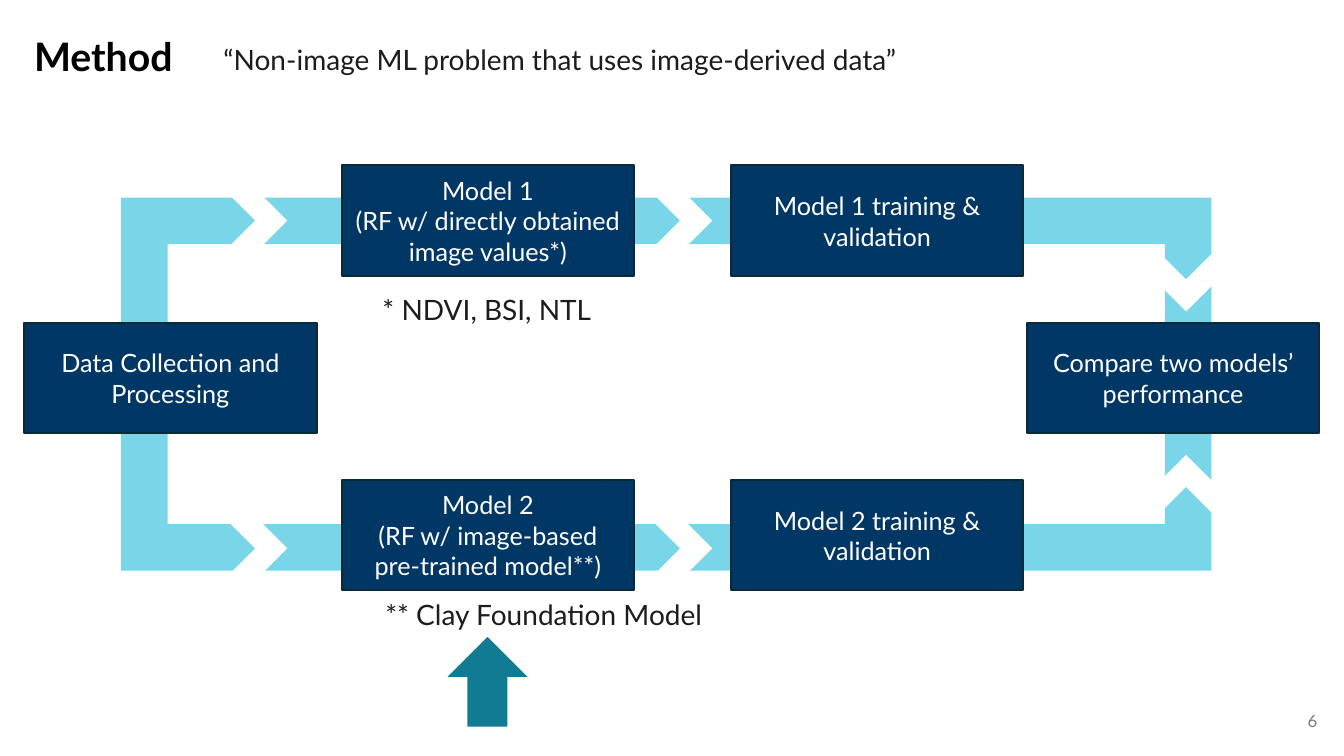
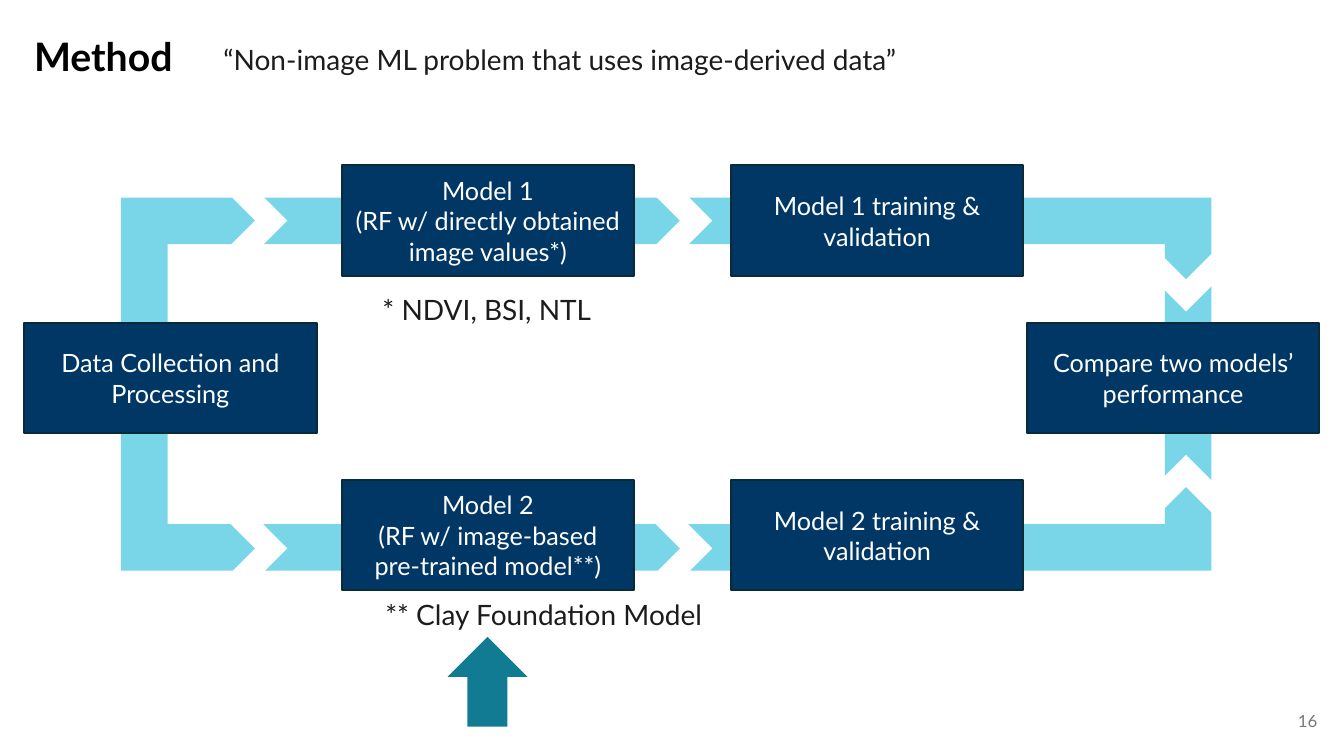
import pptx
import pptx.util
import pptx.dml.color
import pptx.enum.shapes
import pptx.enum.text
from dataclasses import dataclass

Cm = pptx.util.Cm
Shape = pptx.enum.shapes.MSO_SHAPE
Align = pptx.enum.text.PP_ALIGN
Anchor = pptx.enum.text.MSO_ANCHOR


@dataclass(frozen=True)
class Theme:
    font: str = "Lato"
    white: str = "FFFFFF"
    title: str = "000000"
    body: str = "1D1C1D"
    muted: str = "797979"
    step: str = "003764"
    step_edge: str = "092A39"
    flow: str = "79D6E9"
    pointer: str = "107B92"
    title_size: int = 28
    note_size: int = 20
    step_size: int = 18
    number_size: int = 12


theme = Theme()


def write(shape, text, *, size, color, bold=False, align=Align.LEFT,
          anchor=Anchor.TOP, spacing=None):
    """Fill a shape with text: \\n starts a paragraph, \\v breaks a line."""
    frame = shape.text_frame
    frame.word_wrap = True
    frame.vertical_anchor = anchor
    frame.text = text
    for paragraph in frame.paragraphs:
        paragraph.alignment = align
        paragraph.line_spacing = spacing
        for run in paragraph.runs:
            run.font.name = theme.font
            run.font.size = pptx.util.Pt(size)
            run.font.bold = bold
            run.font.color.rgb = pptx.dml.color.RGBColor.from_string(color)


def draw(slide, kind, left, top, width, height, fill, edge=None):
    """Add a flat preset shape, measured in centimetres."""
    shape = slide.shapes.add_shape(kind, Cm(left), Cm(top), Cm(width), Cm(height))
    shape.shadow.inherit = False
    shape.fill.solid()
    shape.fill.fore_color.rgb = pptx.dml.color.RGBColor.from_string(fill)
    if edge:
        shape.line.color.rgb = pptx.dml.color.RGBColor.from_string(edge)
        shape.line.width = pptx.util.Pt(1.5)
    else:
        shape.line.fill.background()
    return shape


# Grid of process steps
step_width, step_height = 7.37, 2.79
columns = [0.61, 8.61, 18.42, 25.88]
first_row, row_pitch = 4.17, 3.96

# Each step: column, row, text
steps = [
    (0, 1, "Data Collection and Processing"),
    (1, 0, "Model 1\n(RF w/ directly obtained image values*)"),
    (2, 0, "Model 1 training & validation"),
    (1, 2, "Model 2\n(RF w/ image-based\vpre-trained model**)"),
    (2, 2, "Model 2 training & validation"),
    (3, 1, "Compare two models’ performance"),
]

# Gaps that cut the flow band into arrows: left, top, rotation
flow_gaps = [(left, top, 0) for top in (4.85, 13.11) for left in (5.72, 16.43)]
flow_gaps += [(29.13, 6.38, 90), (29.13, 11.51, 270)]

# Plain text: left, top, width, height, text, format
note_format = dict(size=theme.note_size, color=theme.body)
texts = [
    (0.61, 0.38, 32.84, 2.2, "Method",
     dict(size=theme.title_size, color=theme.title, bold=True,
          anchor=Anchor.MIDDLE, spacing=0.9)),
    (5.38, 0.94, 19.86, 1.12,
     "“Non-image ML problem that uses image-derived data”", note_format),
    (9.39, 7.24, 5.99, 1.12, "* NDVI, BSI, NTL", note_format),
    (9.46, 14.94, 19.86, 1.12, "** Clay Foundation Model", note_format),
]
number_format = dict(size=theme.number_size, color=theme.muted,
                     align=Align.RIGHT, anchor=Anchor.MIDDLE)

deck = pptx.Presentation()
deck.slide_width, deck.slide_height = Cm(33.87), Cm(19.05)

for page_number in (6, 16):
    slide = deck.slides.add_slide(deck.slide_layouts[6])

    # Flow band and its gaps
    draw(slide, Shape.FRAME, 3.05, 4.98, 27.48, 9.4, theme.flow)
    for left, top, rotation in flow_gaps:
        gap = draw(slide, Shape.CHEVRON, left, top, 1.52, 1.42, theme.white)
        gap.rotation = rotation

    # Process steps
    for column, row, label in steps:
        step = draw(slide, Shape.RECTANGLE, columns[column],
                    first_row + row * row_pitch, step_width, step_height,
                    theme.step, theme.step_edge)
        write(step, label, size=theme.step_size, color=theme.white,
              align=Align.CENTER, anchor=Anchor.MIDDLE)

    # Pointer to the pre-trained model
    draw(slide, Shape.UP_ARROW, 11.28, 16.05, 2.01, 2.26, theme.pointer)

    # Title, subtitle, footnotes and page number
    page_text = (25.83, 17.65, 7.62, 1.02, str(page_number), number_format)
    for left, top, width, height, text, text_format in texts + [page_text]:
        box = slide.shapes.add_textbox(Cm(left), Cm(top), Cm(width), Cm(height))
        write(box, text, **text_format)

deck.save("out.pptx")
